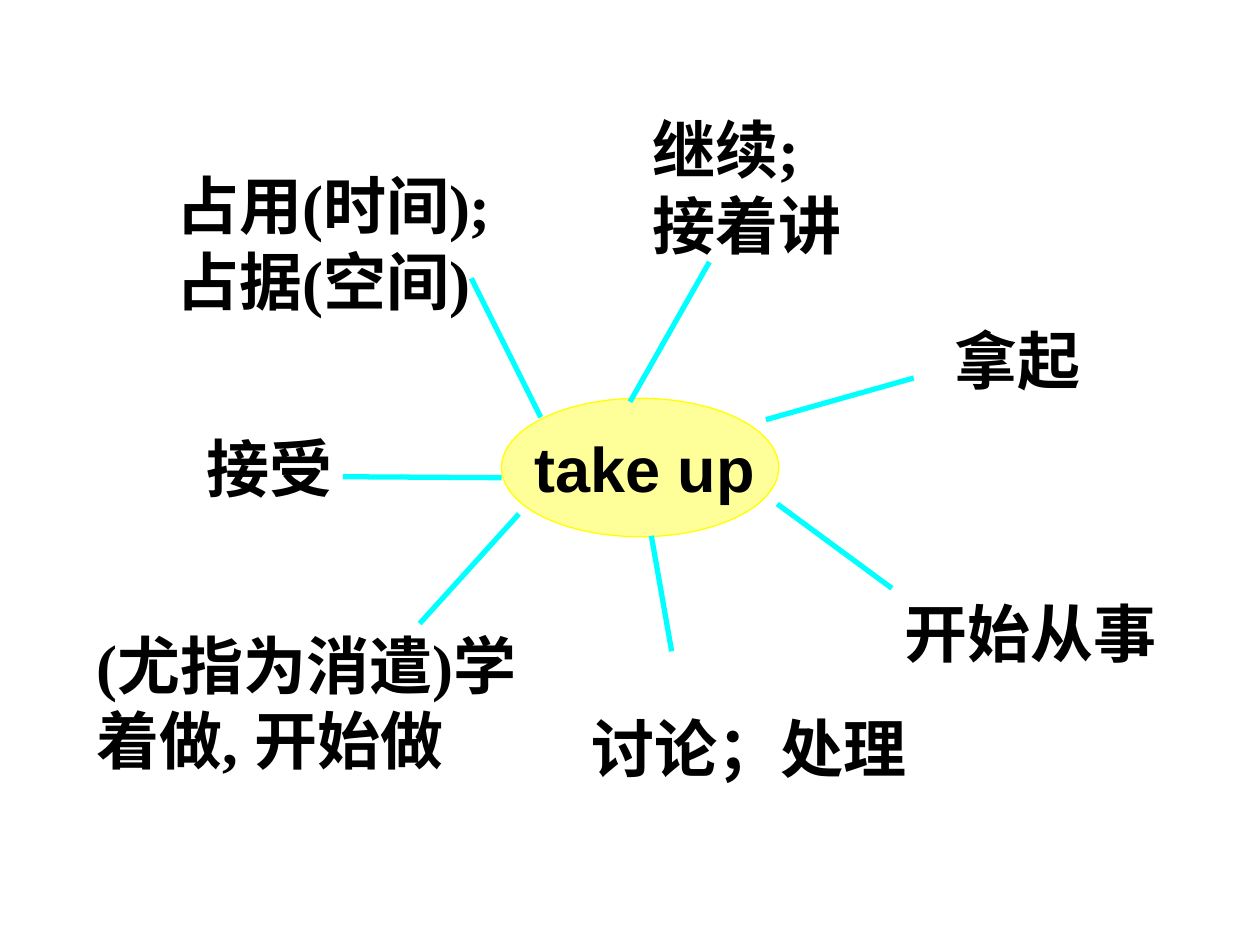
from dataclasses import dataclass

from lxml.etree import SubElement
from pptx import Presentation
from pptx.dml.color import RGBColor
from pptx.enum.shapes import MSO_CONNECTOR as Connector, MSO_SHAPE as Shape
from pptx.enum.text import MSO_ANCHOR as Anchor, MSO_AUTO_SIZE as AutoSize
from pptx.oxml.ns import qn
from pptx.util import Cm, Pt


@dataclass(frozen=True)
class Theme:
    hub_fill: RGBColor = RGBColor(0xFF, 0xFF, 0x99)
    hub_line: RGBColor = RGBColor(0xFF, 0xFF, 0x00)
    spoke: RGBColor = RGBColor(0x00, 0xFF, 0xFF)
    ink: RGBColor = RGBColor(0x00, 0x00, 0x00)
    hub_font: str = "Arial"
    label_font: str = "Times New Roman"
    text_size: Pt = Pt(36)
    outline: Pt = Pt(0.75)
    spoke_width: Pt = Pt(3)


# Left, top, width, height in centimetres
HUB = (10.11, 8.03, 5.59, 2.79)
HUB_TEXT = (10.52, 8.53, 4.95, 1.78)

# Start at the hub, end at the meaning, in centimetres
SPOKES = [
    ((15.44, 8.46), (18.42, 7.62)),
    ((10.11, 9.63), (6.91, 9.61)),
    ((10.9, 8.41), (9.5, 5.61)),
    ((12.7, 8.1), (14.3, 5.28)),
    ((10.46, 10.36), (8.46, 12.57)),
    ((15.67, 10.16), (17.98, 11.86)),
    ((13.13, 10.8), (13.54, 13.13)),
]

MEANINGS = [
    ("拿起", (19, 6.35, 6.4, 1.78)),
    ("占用(时间); 占据(空间)", (3.3, 3.23, 8, 3.3)),
    ("(尤指为消遣)学着做, 开始做", (1.7, 11.73, 8.99, 4.83)),
    ("接受", (3.91, 8.53, 3.4, 1.78)),
    ("继续; 接着讲", (12.9, 2.11, 5, 3.3)),
    ("开始从事", (17.98, 11.86, 5.61, 1.78)),
]
LAST_MEANING = ("讨论；处理", (11.68, 14.17, 6.86, 1.78))


class MindMap:
    def __init__(self, page, theme):
        self.shapes = page.shapes
        self.theme = theme

    def hub(self, area):
        oval = self.shapes.add_shape(Shape.OVAL, *map(Cm, area))
        oval.shadow.inherit = False
        oval.fill.solid()
        oval.fill.fore_color.rgb = self.theme.hub_fill
        oval.line.color.rgb = self.theme.hub_line
        oval.line.width = self.theme.outline

    def spoke(self, start, end):
        line = self.shapes.add_connector(Connector.STRAIGHT, *map(Cm, start + end))
        line.line.color.rgb = self.theme.spoke
        line.line.width = self.theme.spoke_width
        SubElement(line._element.spPr, qn("a:effectLst"))

    def label(self, text, area, font_name, anchor=Anchor.MIDDLE, wrap=True):
        box = self.shapes.add_textbox(*map(Cm, area))
        frame = box.text_frame
        frame.word_wrap = wrap
        frame.auto_size = AutoSize.SHAPE_TO_FIT_TEXT
        frame.vertical_anchor = anchor
        para = frame.paragraphs[0]
        para.text = text
        font = para.font
        font.name = font_name
        font.size = self.theme.text_size
        font.bold = True
        font.color.rgb = self.theme.ink


def main():
    deck = Presentation()
    deck.slide_width, deck.slide_height = Cm(25.4), Cm(19.05)
    page = deck.slides.add_slide(deck.slide_layouts[6])
    theme = Theme()
    mind_map = MindMap(page, theme)

    mind_map.hub(HUB)
    mind_map.label("take up", HUB_TEXT, theme.hub_font, Anchor.TOP)
    for start, end in SPOKES:
        mind_map.spoke(start, end)
    for text, area in MEANINGS:
        mind_map.label(text, area, theme.label_font)
    mind_map.label(*LAST_MEANING, theme.label_font, Anchor.TOP, wrap=False)

    deck.save("out.pptx")


if __name__ == "__main__":
    main()
